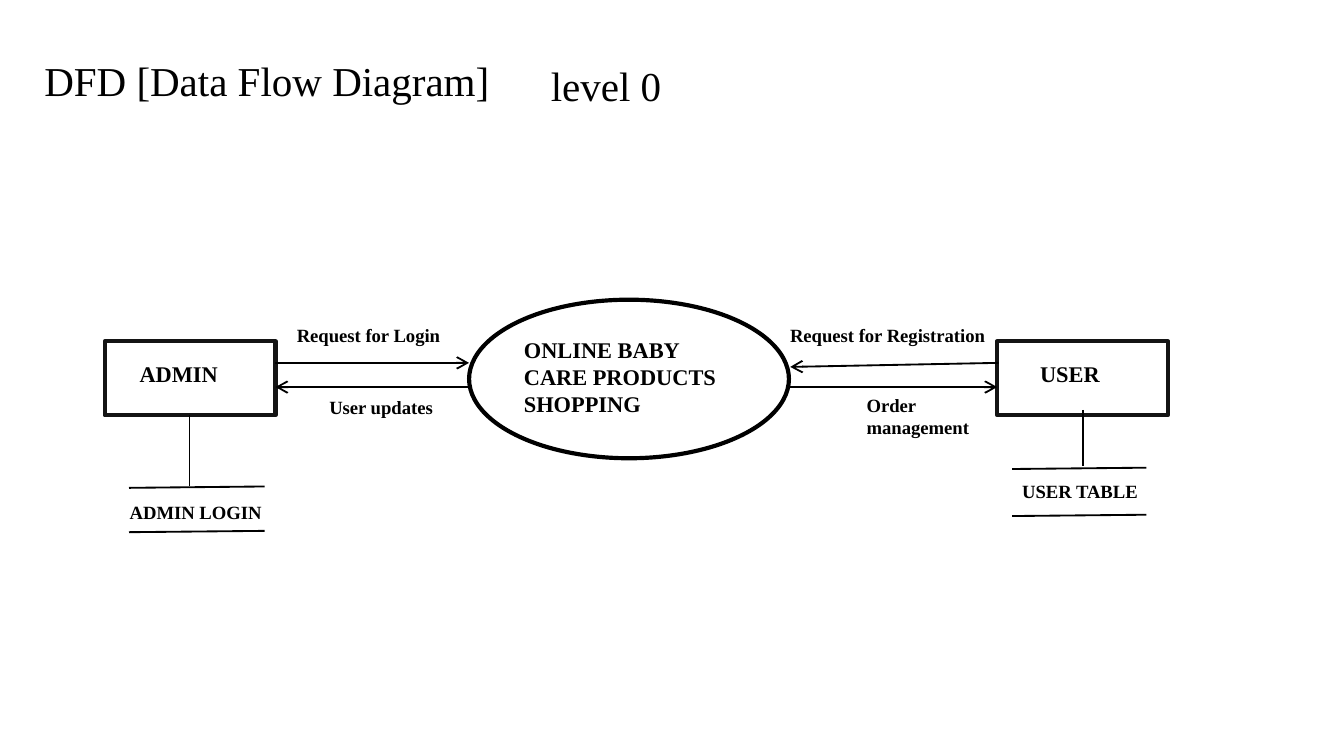
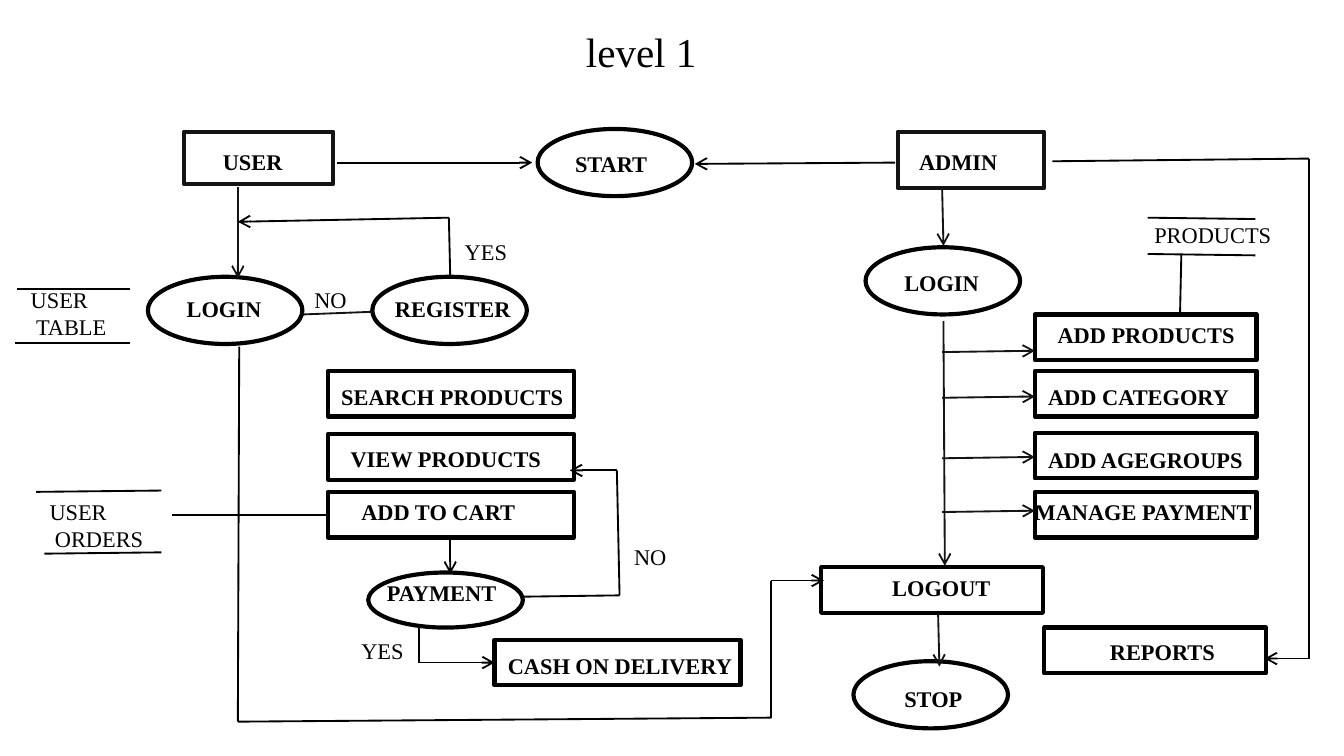
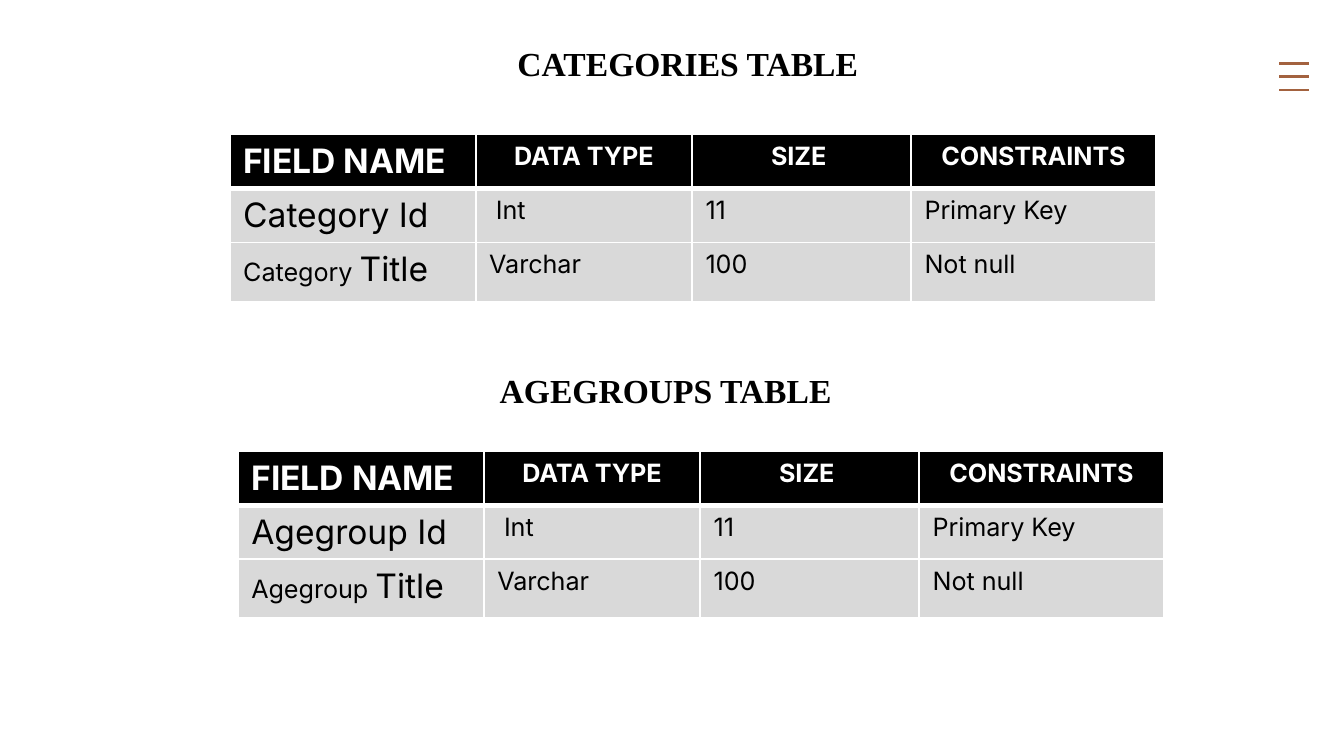
from lxml.etree import SubElement
from pptx import Presentation
from pptx.dml.color import RGBColor
from pptx.enum.shapes import MSO_CONNECTOR as Connector, MSO_SHAPE as Shape
from pptx.enum.text import MSO_ANCHOR as Anchor, MSO_AUTO_SIZE as AutoSize, PP_ALIGN as Align
from pptx.oxml.ns import qn
from pptx.util import Inches, Pt

COLORS = {
    "black": "000000",
    "ink": "141414",
    "white": "FFFFFF",
    "gray": "D9D9D9",
    "brown": "A3623F",
}
SERIF, SANS = "Times New Roman", "Inter"
TITLE_ONLY = 5
COLUMN_WIDTHS = (1.83, 1.61, 1.63, 1.82)
ROW_HEIGHTS = (0.38, 0.38, 0.44)
HEADERS = ("FIELD NAME", "DATA TYPE", "SIZE ", "CONSTRAINTS")


def color(name):
    return RGBColor.from_string(COLORS[name])


def inches(values):
    return [Inches(value) for value in values]


def write_text(frame, text, size=12, font=SERIF, ink="black", bold=False,
               align=Align.LEFT, indents=()):
    """Fill a frame; text is a string or a list of (string, size) spans.

    Each line of a string is a paragraph, and indents holds their left indents.
    """
    spans = [(text, size)] if isinstance(text, str) else text
    para = frame.paragraphs[0]
    paras = [para]
    for words, span_size in spans:
        for number, line in enumerate(words.split("\n")):
            if number:
                para = frame.add_paragraph()
                paras.append(para)
            span = para.add_run()
            span.text = line
            span.font.size = Pt(span_size)
            span.font.name = font
            span.font.bold = bold
            span.font.color.rgb = color(ink)
    for para in paras:
        para.alignment = align
    for para, indent in zip(paras, indents):
        para._p.get_or_add_pPr().set("marL", str(Inches(indent)))


def add_text(page, text, box, **text_format):
    frame = page.shapes.add_textbox(*inches(box)).text_frame
    frame.word_wrap = True
    write_text(frame, text, **text_format)


def add_page(deck, title, box, **text_format):
    page = deck.slides.add_slide(deck.slide_layouts[TITLE_ONLY])
    holder = page.shapes.title
    holder.left, holder.top, holder.width, holder.height = inches(box)
    frame = holder.text_frame
    frame.word_wrap = True
    frame.auto_size = AutoSize.NONE
    frame.vertical_anchor = Anchor.TOP
    write_text(frame, title, **text_format)
    return page


def add_route(page, *points, arrow=True, ink="black", width=1):
    """Join the points with straight lines, the last one with an arrowhead."""
    for start, end in zip(points, points[1:]):
        line = page.shapes.add_connector(Connector.STRAIGHT, *inches(start + end))
        line.line.color.rgb = color(ink)
        line.line.width = Pt(width)
        properties = line.element.spPr
        if arrow and end == points[-1]:
            SubElement(properties.find(qn("a:ln")), qn("a:tailEnd"), type="arrow")
        SubElement(properties, qn("a:effectLst"))


def add_node(page, kind, box, text, label, ink="black"):
    """Outline with a bold label; label is (dx, dy, width, height) from its corner."""
    node = page.shapes.add_shape(kind, *inches(box))
    node.shadow.inherit = False
    node.fill.background()
    node.line.color.rgb = color(ink)
    node.line.width = Pt(2.25)
    dx, dy, width, height = label
    add_text(page, text, (box[0] + dx, box[1] + dy, width, height), bold=True)


def add_store(page, box, text, label, slant=-0.01, shift=0, **text_format):
    """Data store: a label between two rules, the lower one starting shift further right."""
    left, top, width, height = box
    right, bottom = left + width, top + height
    add_route(page, (left, top), (right, top + slant), arrow=False)
    add_route(page, (left + shift, bottom), (right, bottom + slant), arrow=False)
    dx, dy, label_width, label_height = label
    add_text(page, text, (left + dx, top + dy, label_width, label_height), **text_format)


def add_field_table(page, box, entity):
    """Database fields of one entity; box is (left, top)."""
    rows = (
        HEADERS,
        ([(f"{entity} Id", 18)], "Int", "11", "Primary Key"),
        ([(f"{entity} ", 13.5), ("Title", 18)], "Varchar", "100", "Not null"),
    )
    table = page.shapes.add_table(
        len(rows), len(HEADERS),
        *inches((*box, sum(COLUMN_WIDTHS), sum(ROW_HEIGHTS)))).table
    table.horz_banding = False
    for column, width in zip(table.columns, COLUMN_WIDTHS):
        column.width = Inches(width)
    for row_index, (row, height) in enumerate(zip(rows, ROW_HEIGHTS)):
        table.rows[row_index].height = Inches(height)
        header = row_index == 0
        for column_index, text in enumerate(row):
            cell = table.cell(row_index, column_index)
            set_borders(cell, top=3 if row_index == 1 else 1, bottom=3 if header else 1)
            cell.fill.solid()
            cell.fill.fore_color.rgb = color("black" if header else "gray")
            write_text(
                cell.text_frame, text, font=SANS, bold=header,
                size=18 if header and column_index == 0 else 13.5,
                ink="white" if header else "black",
                align=Align.CENTER if header and column_index else Align.LEFT,
                indents=(0.05,) if text == "Int" else ())


def set_borders(cell, top, bottom):
    properties = cell._tc.get_or_add_tcPr()
    for side, width in (("L", 1), ("R", 1), ("T", top), ("B", bottom)):
        border = SubElement(properties, qn(f"a:ln{side}"), w=str(Pt(width)))
        fill = SubElement(border, qn("a:solidFill"))
        SubElement(fill, qn("a:srgbClr"), val=COLORS["white"])


def add_level_0(deck):
    page = add_page(deck, "DFD [Data Flow Diagram]", (0.23, 0.36, 4.31, 0.47), size=22)
    add_text(page, "level 0", (4, 0.4, 1.15, 0.47), size=22)

    add_node(page, Shape.OVAL, (3.49, 2.23, 2.38, 1.18),
             "ONLINE BABY CARE PRODUCTS SHOPPING", (0.31, 0.22, 1.86, 0.71))
    for left, text, dx, width in ((0.78, "ADMIN", 0.16, 1.01), (7.42, "USER", 0.22, 0.78)):
        add_node(page, Shape.RECTANGLE, (left, 2.54, 1.27, 0.55), text,
                 (dx, 0.09, width, 0.3), ink="ink")

    add_route(page, (2.05, 2.7), (3.49, 2.7))
    add_route(page, (3.49, 2.88), (2.05, 2.88))
    add_route(page, (7.43, 2.7), (5.88, 2.73))
    add_route(page, (5.88, 2.88), (7.42, 2.88))
    add_route(page, (1.41, 3.09), (1.41, 3.62), arrow=False)
    add_route(page, (8.06, 3.05), (8.06, 3.47), arrow=False)

    small = {"size": 10, "bold": True}
    add_text(page, "Request for Login", (2.11, 2.36, 1.31, 0.27), **small)
    add_text(page, "User updates", (2.18, 2.9, 1.31, 0.27), align=Align.CENTER, **small)
    add_text(page, "Request for Registration", (5.78, 2.36, 1.88, 0.27), **small)
    add_text(page, "Order management", (6.35, 2.88, 1.31, 0.44), **small)

    add_store(page, (0.96, 3.63, 1.01, 0.33), "ADMIN LOGIN",
              (-0.16, 0.05, 1.31, 0.27), align=Align.CENTER, **small)
    add_store(page, (7.53, 3.49, 1, 0.35), "USER TABLE",
              (-0.15, 0.03, 1.31, 0.27), align=Align.CENTER, **small)


def add_user_side(page):
    add_node(page, Shape.RECTANGLE, (1.37, 0.98, 1.11, 0.39), "USER",
             (0.19, 0.07, 0.78, 0.3), ink="ink")
    add_node(page, Shape.OVAL, (1.1, 2.06, 1.15, 0.5), "LOGIN", (0.19, 0.09, 0.78, 0.3))
    add_node(page, Shape.OVAL, (2.77, 2.06, 1.15, 0.5), "REGISTER", (0.07, 0.09, 1.19, 0.3))
    add_node(page, Shape.OVAL, (2.74, 4.26, 1.15, 0.41), "PAYMENT", (0.04, 0, 1.19, 0.3))
    for left, top, text, dx, dy in (
            (2.44, 2.76, "SEARCH PRODUCTS", 0, 0.04),
            (2.44, 3.23, "VIEW PRODUCTS", 0.07, 0.03),
            (2.44, 3.66, "ADD TO CART", 0.15, 0),
            (3.68, 4.76, "CASH ON DELIVERY", 0, 0.04)):
        add_node(page, Shape.RECTANGLE, (left, top, 1.83, 0.34), text, (dx, dy, 1.95, 0.3))

    add_route(page, (2.51, 1.21), (3.96, 1.21))
    add_route(page, (1.77, 1.39), (1.77, 2.07), ink="ink")
    add_route(page, (3.35, 2.06), (3.34, 1.62), (1.77, 1.65))
    add_route(page, (2.78, 2.32), (2.25, 2.34), arrow=False, ink="ink")
    add_route(page, (3.35, 4), (3.35, 4.27))
    add_route(page, (3.12, 4.67), (3.12, 4.93), (3.68, 4.93))
    add_route(page, (3.89, 4.44), (4.61, 4.43), (4.59, 3.5), (4.24, 3.5))
    add_route(page, (1.78, 2.58), (1.77, 5.37), (5.74, 5.34), (5.74, 4.32), (6.13, 4.32))
    add_route(page, (1.28, 3.83), (2.44, 3.83), arrow=False)

    for left, top, answer in ((3.36, 1.72, "YES"), (2.24, 2.08, "NO"),
                              (2.59, 4.69, "YES"), (4.62, 3.99, "NO")):
        add_text(page, answer, (left, top, 0.53, 0.23))

    add_store(page, (0.13, 2.15, 0.84, 0.4), "USER\nTABLE", (0, -0.07, 1.72, 0.5),
              slant=0, shift=-0.02, indents=(0, 0.04))
    add_store(page, (0.27, 3.66, 0.93, 0.46), "USER\nORDERS", (0, 0, 1.72, 0.45),
              shift=0.06, indents=(0, 0.04))


def add_admin_side(page):
    add_node(page, Shape.RECTANGLE, (6.68, 0.98, 1.09, 0.42), "ADMIN",
             (0.06, 0.07, 1.01, 0.3), ink="ink")
    add_node(page, Shape.OVAL, (6.44, 1.84, 1.15, 0.5), "LOGIN", (0.19, 0.11, 0.78, 0.3))
    add_node(page, Shape.OVAL, (6.35, 4.92, 1.15, 0.5), "STOP", (0.28, 0.13, 0.82, 0.3))
    for left, top, text, dx, dy in (
            (7.7, 2.34, "ADD PRODUCTS", 0.07, 0),
            (7.7, 2.76, "ADD CATEGORY", 0, 0.04),
            (7.7, 3.22, "ADD AGEGROUPS", 0, 0.05),
            (7.7, 3.66, "MANAGE PAYMENT", -0.1, 0),
            (6.11, 4.22, "LOGOUT", 0.43, 0),
            (7.77, 4.67, "REPORTS", 0.39, 0.03)):
        add_node(page, Shape.RECTANGLE, (left, top, 1.65, 0.34), text, (dx, dy, 1.85, 0.3))

    add_route(page, (6.66, 1.21), (5.17, 1.22))
    add_route(page, (7.01, 1.4), (7.02, 1.83), ink="ink")
    add_route(page, (7.02, 2.39), (7.03, 4.21), ink="ink")
    for top in (2.62, 2.96, 3.41, 3.81):
        add_route(page, (7.01, top), (7.7, top - 0.01), ink="ink")
    add_route(page, (6.98, 4.57), (6.99, 4.96), ink="ink")
    add_route(page, (7.83, 1.2), (9.74, 1.18), (9.74, 4.9), (9.41, 4.9))
    add_route(page, (8.79, 1.89), (8.78, 2.34), arrow=False)

    add_store(page, (8.54, 1.62, 0.8, 0.27), "PRODUCTS", (-0.05, -0.02, 1.72, 0.3), slant=0.01)


def add_level_1(deck):
    page = add_page(deck, "level 1", (4.26, 0.15, 1.15, 0.47), size=22)
    add_node(page, Shape.OVAL, (4, 0.96, 1.15, 0.5), "START", (0.18, 0.11, 0.82, 0.3))
    add_user_side(page)
    add_admin_side(page)


def add_tables(deck):
    heading = {"size": 18, "bold": True}
    page = add_page(deck, "CATEGORIES TABLE", (3.75, 0.27, 3.33, 0.4), **heading)
    for step in range(3):
        top = 0.47 + 0.1 * step
        add_route(page, (9.52, top), (9.74, top), arrow=False, ink="brown", width=1.5)
    add_field_table(page, (1.71, 1), "Category")
    add_text(page, "AGEGROUPS TABLE", (3.62, 2.7, 3.33, 0.4), **heading)
    add_field_table(page, (1.77, 3.36), "Agegroup")


def main():
    deck = Presentation()
    deck.slide_width = Inches(10)
    deck.slide_height = deck.slide_width * 9 // 16
    add_level_0(deck)
    add_level_1(deck)
    add_tables(deck)
    deck.save("out.pptx")


if __name__ == "__main__":
    main()
